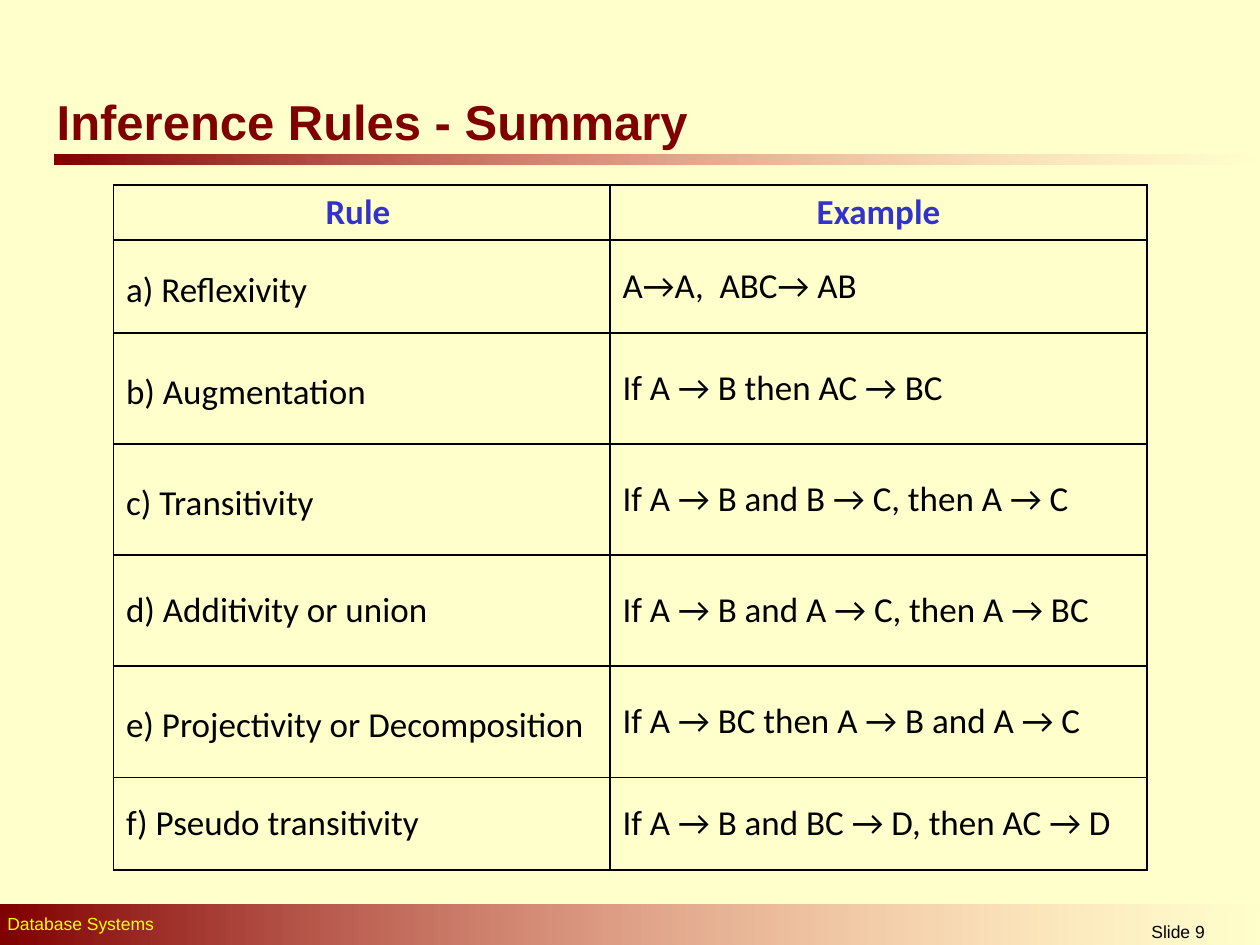
"""Build the slide that summarises the inference rules for functional dependencies."""
from lxml.etree import SubElement
from pptx import Presentation
from pptx.dml.color import RGBColor
from pptx.enum.shapes import MSO_SHAPE
from pptx.enum.text import MSO_ANCHOR, PP_ALIGN
from pptx.oxml.ns import qn
from pptx.util import Cm, Pt

CREAM = RGBColor(0xFF, 0xFF, 0xCC)
MAROON = RGBColor(0x80, 0x00, 0x00)
SALMON = RGBColor(0xFF, 0x85, 0x85)
YELLOW = RGBColor(0xFF, 0xFF, 0x00)
BLUE = RGBColor(0x33, 0x33, 0xCC)
BLACK = RGBColor(0x00, 0x00, 0x00)

RULES = [
    ("Rule ", "Example", 1.11, 1),
    ("a) Reflexivity", "A→A,  ABC→ AB", 1.87, 1.2),
    ("b) Augmentation", "If A → B then AC → BC", 2.24, 1.2),
    ("c) Transitivity", "If A → B and B → C, then A → C", 2.24, 1.2),
    ("d) Additivity or union", "If A → B and A → C, then A → BC", 2.24, 1),
    ("e) Projectivity or Decomposition", "If A → BC then A → B and A → C", 2.24, 1.2),
    ("f) Pseudo transitivity", "If A → B and BC → D, then AC → D", 1.87, 1),
]


def format_text(paragraph, typeface, size, color, bold=False):
    for run in paragraph.runs:
        run.font.name = typeface
        run.font.size = Pt(size)
        run.font.color.rgb = color
        run.font.bold = bold


def draw_border(cell):
    properties = cell._tc.get_or_add_tcPr()
    for side in ("lnL", "lnR", "lnT", "lnB"):
        line = SubElement(properties, qn(f"a:{side}"), w=str(Pt(1)))
        fill = SubElement(line, qn("a:solidFill"))
        SubElement(fill, qn("a:srgbClr"), val=str(BLACK))


prs = Presentation()
prs.slide_width, prs.slide_height = Cm(25.4), Cm(19.05)
slide = prs.slides.add_slide(prs.slide_layouts[5])
slide.background.fill.solid()
slide.background.fill.fore_color.rgb = CREAM

for left, top, width, height in [(1.09, 3.12, 24.31, 0.2), (0, 18.24, 25.48, 0.89)]:
    band = slide.shapes.add_shape(
        MSO_SHAPE.RECTANGLE, Cm(left), Cm(top), Cm(width), Cm(height))
    band.shadow.inherit = False
    band.line.fill.background()
    band.fill.gradient()
    band.fill.gradient_angle = 0
    start, end = band.fill.gradient_stops
    start.color.rgb, end.color.rgb = MAROON, SALMON
    fading = band._element.spPr.findall(".//" + qn("a:srgbClr"))[-1]
    SubElement(fading, qn("a:alpha"), val="0")

for label, left, top, width, height, color, align in [
    ("Database Systems", -0.1, 18.29, 16.41, 0.69, YELLOW, PP_ALIGN.LEFT),
    ("Slide 9", 21.11, 18.44, 5.28, 0.61, BLACK, PP_ALIGN.CENTER),
]:
    footer = slide.shapes.add_textbox(Cm(left), Cm(top), Cm(width), Cm(height))
    footer.text_frame.word_wrap = True
    footer.text_frame.text = label
    footer.text_frame.paragraphs[0].alignment = align
    format_text(footer.text_frame.paragraphs[0], "Arial", 10, color)

title = slide.shapes.title
title.left, title.top, title.width, title.height = Cm(0.89), Cm(1.73), Cm(14.3), Cm(1.4)
title.text_frame.text = "Inference Rules - Summary"
title.text_frame.vertical_anchor = MSO_ANCHOR.MIDDLE
title.text_frame.paragraphs[0].alignment = PP_ALIGN.LEFT
format_text(title.text_frame.paragraphs[0], "Arial", 28, MAROON, True)

rules = slide.shapes.add_table(
    len(RULES), 2, Cm(2.29), Cm(3.73), Cm(20.83), Cm(13.81)).table
rules.first_row = rules.horz_banding = False
rules.columns[0].width, rules.columns[1].width = Cm(10.01), Cm(10.82)

for row, (rule, example, height, spacing) in enumerate(RULES):
    rules.rows[row].height = Cm(height)
    heading = row == 0
    for column, wording in enumerate((rule, example)):
        cell = rules.cell(row, column)
        draw_border(cell)
        cell.fill.background()
        cell.margin_left = cell.margin_right = Cm(0.25)
        tight = column == 0 and not heading
        cell.margin_top = cell.margin_bottom = Cm(0 if tight else 0.13)
        cell.vertical_anchor = MSO_ANCHOR.TOP if heading else MSO_ANCHOR.MIDDLE
        cell.text_frame.text = wording
        paragraph = cell.text_frame.paragraphs[0]
        paragraph.alignment = PP_ALIGN.CENTER if heading else PP_ALIGN.LEFT
        if tight:
            paragraph.line_spacing = float(spacing)
        format_text(paragraph, "Calibri", 20, BLUE if heading else BLACK, heading)

prs.save("out.pptx")
